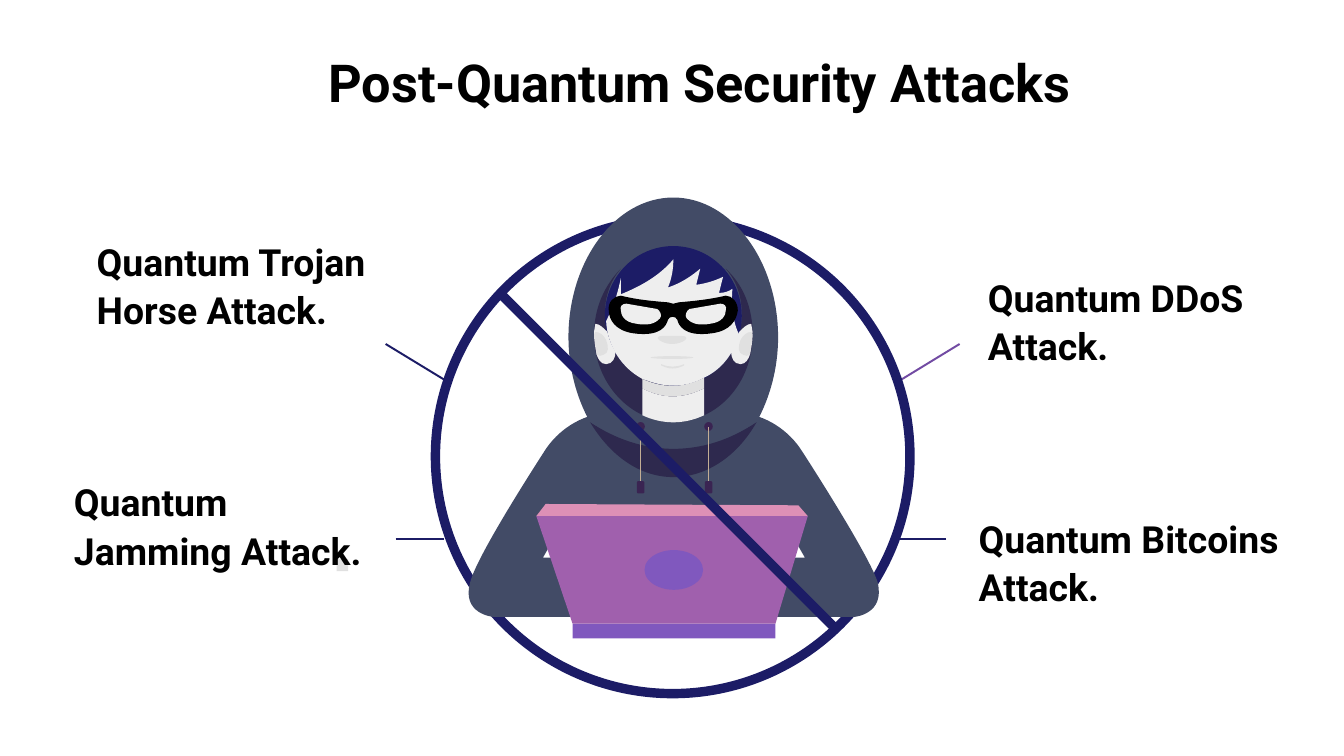
from pptx import Presentation
from pptx.dml.color import RGBColor
from pptx.enum.shapes import MSO_CONNECTOR, MSO_SHAPE
from pptx.enum.text import MSO_ANCHOR, PP_ALIGN
from pptx.oxml.ns import qn
from pptx.util import Pt
from lxml import etree

STRAIGHT = MSO_CONNECTOR.STRAIGHT
OVAL, RECTANGLE = MSO_SHAPE.OVAL, MSO_SHAPE.RECTANGLE
ROUND_TIP = MSO_SHAPE.ROUNDED_RECTANGLE
MIDDLE, LEFT = MSO_ANCHOR.MIDDLE, PP_ALIGN.LEFT

FONT = "Roboto"
BLACK, NAVY, SLATE, INDIGO = "000000", "1C1C66", "424B66", "2E294E"
SKIN, SHADE, PLUM, CORD = "EEEEEE", "E0E0E0", "3A2452", "C3AE95"
VIOLET, LILAC, PINK, PURPLE = "8058BE", "A060AD", "DD90B6", "724BA3"

GRID = 0.72          # points per unit of the outlines
FACE_AXIS = 501      # outline units


def colour(value):
    return RGBColor.from_string(value)


def trace(outline):
    """Split an outline of M, L and C commands into points and segment kinds."""
    points, kinds, command, numbers = [], [], "", []
    for token in outline.split():
        if token.isalpha():
            command = token
            continue
        numbers.append(float(token))
        if len(numbers) == (6 if command == "C" else 2):
            points += zip(numbers[::2], numbers[1::2])
            kinds.append(command)
            numbers = []
    return points, kinds[1:]


def bend(shape, kinds):
    """Join each three line segments that stand for a curve into one."""
    segments = list(shape._element.iter(qn("a:lnTo")))
    for kind in kinds:
        if kind == "L":
            segments.pop(0)
            continue
        curve = etree.Element(qn("a:cubicBezTo"))
        segments[0].addprevious(curve)
        for segment in segments[:3]:
            curve.append(segment[0])
            segment.getparent().remove(segment)
        segments = segments[3:]


class Painter:
    def __init__(self, page):
        self.page = page

    def paint(self, shape, fill, line=None, width=1):
        shape.shadow.inherit = False
        if fill:
            shape.fill.solid()
            shape.fill.fore_color.rgb = colour(fill)
        else:
            shape.fill.background()
        if line:
            shape.line.color.rgb = colour(line)
            shape.line.width = Pt(width)
        else:
            shape.line.fill.background()

    def preset(self, kind, left, top, width, height, fill, line=None, weight=1):
        shape = self.page.shapes.add_shape(
            kind, Pt(left), Pt(top), Pt(width), Pt(height))
        self.paint(shape, fill, line, weight)

    def outline(self, outline, fill, mirrored=False):
        points, kinds = trace(outline)
        if mirrored:
            points = [(2 * FACE_AXIS - x, y) for x, y in points]
        points = [(Pt(x * GRID), Pt(y * GRID)) for x, y in points]
        builder = self.page.shapes.build_freeform(*points[0])
        builder.add_line_segments(points[1:], close=True)
        shape = builder.convert_to_shape()
        bend(shape, kinds)
        self.paint(shape, fill)

    def pair(self, outline, fill):
        for mirrored in (False, True):
            self.outline(outline, fill, mirrored)

    def line(self, x1, y1, x2, y2, ink, width):
        line = self.page.shapes.add_connector(
            STRAIGHT, Pt(x1), Pt(y1), Pt(x2), Pt(y2))
        line.line.color.rgb = colour(ink)
        line.line.width = Pt(width)
        etree.SubElement(line._element.spPr, qn("a:effectLst"))

    def text(self, words, left, top, width, height, size, indent, lift):
        box = self.page.shapes.add_textbox(
            Pt(left), Pt(top), Pt(width), Pt(height))
        frame = box.text_frame
        frame.word_wrap = True
        frame.vertical_anchor = MIDDLE
        frame.margin_left, frame.margin_right = Pt(indent), Pt(0)
        frame.margin_top, frame.margin_bottom = Pt(0), Pt(lift)
        para = frame.paragraphs[0]
        para.alignment = LEFT
        para.line_spacing = 1.08
        span = para.add_run()
        span.text = words
        span.font.name, span.font.size, span.font.bold = FONT, Pt(size), True
        span.font.color.rgb = colour(BLACK)


deck = Presentation()
deck.slide_width, deck.slide_height = Pt(720), Pt(405)
page = deck.slides.add_slide(deck.slide_layouts[6])
art = Painter(page)

# Title
art.text("Post-Quantum Security Attacks", 36, 14.4, 653, 61.2, 28, 140, 5)

# Leader lines
for x1, y1, x2, y2, ink in [
    (211.9, 288.7, 238, 288.7, NAVY), (514.1, 184.3, 481, 204.5, PURPLE),
    (506.9, 288.7, 481, 288.7, NAVY), (206.6, 184.3, 239.8, 204.5, NAVY),
]:
    art.line(x1, y1, x2, y2, ink, 1.06)

# Small grey mark
art.preset(RECTANGLE, 180.3, 299.5, 6.2, 6.5, SHADE)

# Ring of the prohibition sign, and laptop base
art.preset(OVAL, 233.3, 117.4, 254.2, 254.2, None, NAVY, 5.04)
art.preset(RECTANGLE, 306.7, 334.1, 108.7, 7.9, VIOLET)

# Hoodie, its shadow, hood and hood lining
art.outline("M 451 307 C 432 309 415 320 405 336 385 367 354 417 350 433 "
            "343 457 367 459 367 459 L 467 459 453 415 404 415 424 380 579 380 "
            "599 415 546 415 532 459 636 459 C 636 459 659 457 653 433 "
            "648 417 617 367 597 336 587 320 570 309 551 307", SLATE)
art.outline("M 439 314 C 454 339 476 355 501 355 526 355 549 339 563 314 "
            "544 327 523 334 501 334 480 334 458 327 439 314", INDIGO)
art.outline("M 501 147 C 458 147 423 194 423 251 423 274 429 296 439 314 "
            "458 326 480 333 501 333 523 333 544 326 563 314 "
            "573 296 579 274 579 251 579 194 544 147 501 147", SLATE)
art.outline("M 462 200 C 450 212 442 229 442 249 442 285 469 314 501 314 "
            "534 314 560 285 560 249 560 229 553 212 540 200 "
            "548 209 552 221 552 234 552 263 529 287 501 287 "
            "473 287 450 263 450 234 450 221 454 209 462 200", INDIGO)

# Hair behind the face, then the face with the fringe cut out of it
art.preset(OVAL, 324, 131.8, 73.4, 74.8, NAVY)
art.outline("M 451 239 C 458 225 460 216 462 207 L 462 219 "
            "C 477 213 491 205 501 193 501 200 500 207 497 214 "
            "506 211 514 206 521 200 L 518 212 C 525 211 532 209 538 206 "
            "L 535 218 C 539 218 542 217 545 215 544 224 545 240 550 249 "
            "546 263 537 275 524 281 517 285 509 287 501 287 "
            "493 287 486 285 478 282 463 274 452 258 451 239", SKIN)

# Glasses
art.outline("M 540 220 C 527 223 516 224 505 225 L 501 226 497 225 "
            "C 485 224 474 223 462 220 457 220 452 225 453 231 "
            "453 238 458 246 471 248 492 251 496 242 497 238 "
            "498 235 503 235 504 238 505 242 509 251 530 248 "
            "544 246 548 238 549 231 549 225 545 220 540 220", BLACK)
art.pair("M 466 226 C 463 226 461 228 462 231 462 234 464 240 474 241 "
         "485 243 489 239 491 237 493 235 491 231 489 230", SKIN)

# Chin shadow and neck
art.outline("M 524 281 C 509 289 493 289 478 282 L 478 289 "
            "C 493 297 508 297 524 289", SHADE)
art.outline("M 524 289 C 508 297 493 297 478 289 L 478 309 "
            "C 493 316 509 316 524 309", SKIN)

# Laptop lid
art.outline("M 406 375 L 399 384 601 384 594 376", PINK)
art.outline("M 399 384 L 426 464 577 464 601 384", LILAC)
art.preset(OVAL, 345.3, 294.7, 31.4, 21.3, VIOLET)

# Mouth, lip and nose
art.preset(OVAL, 348.5, 190.8, 23, 1.5, SHADE)
art.outline("M 492 271 C 498 273.5 503 273.5 509 271 "
            "L 509 272 C 503 275 498 275 492 272", SHADE)
art.outline("M 493 250 C 485 250 492 256 500 256 509 256 515 250 507 250", SHADE)

# Ears
art.pair("M 443 241 L 442 247 444 264 C 445 267 447 271 451 271 "
         "456 271 458 266 458 262 455 257 453 252 452 247 "
         "449 244 446 241 443 241", SKIN)
art.pair("M 443 247 L 442 249 C 442 254 443 259 444 264 446 265 447 265 449 264 "
         "453 263 453 258 451 253 449 249 446 247 443 247", SHADE)

# Drawstrings: eyelet, cord and tip
for x in (343.2, 379.6):
    art.preset(OVAL, x - 2.3, 226.1, 4.6, 4.8, PLUM)
    art.line(x, 228.7, x, 258.7, CORD, 0.56)
    art.preset(ROUND_TIP, x - 2, 257.8, 4, 6.5, PLUM)

# Slash of the prohibition sign
art.line(267.8, 157, 447.8, 337, NAVY, 5.04)

# Attack labels
for words, left, top, width, height in [
    ("Quantum DDoS Attack.", 529.2, 131.8, 159.8, 90.7),
    ("Quantum Jamming Attack.", 39.6, 250.6, 159.8, 72),
    ("Quantum Trojan Horse Attack.", 51.8, 123.8, 195.1, 67.7),
    ("Quantum Bitcoins Attack.", 524.2, 270, 164.9, 72),
]:
    art.text(words, left, top, width, height, 20, 0, 11.4)

deck.save("out.pptx")
